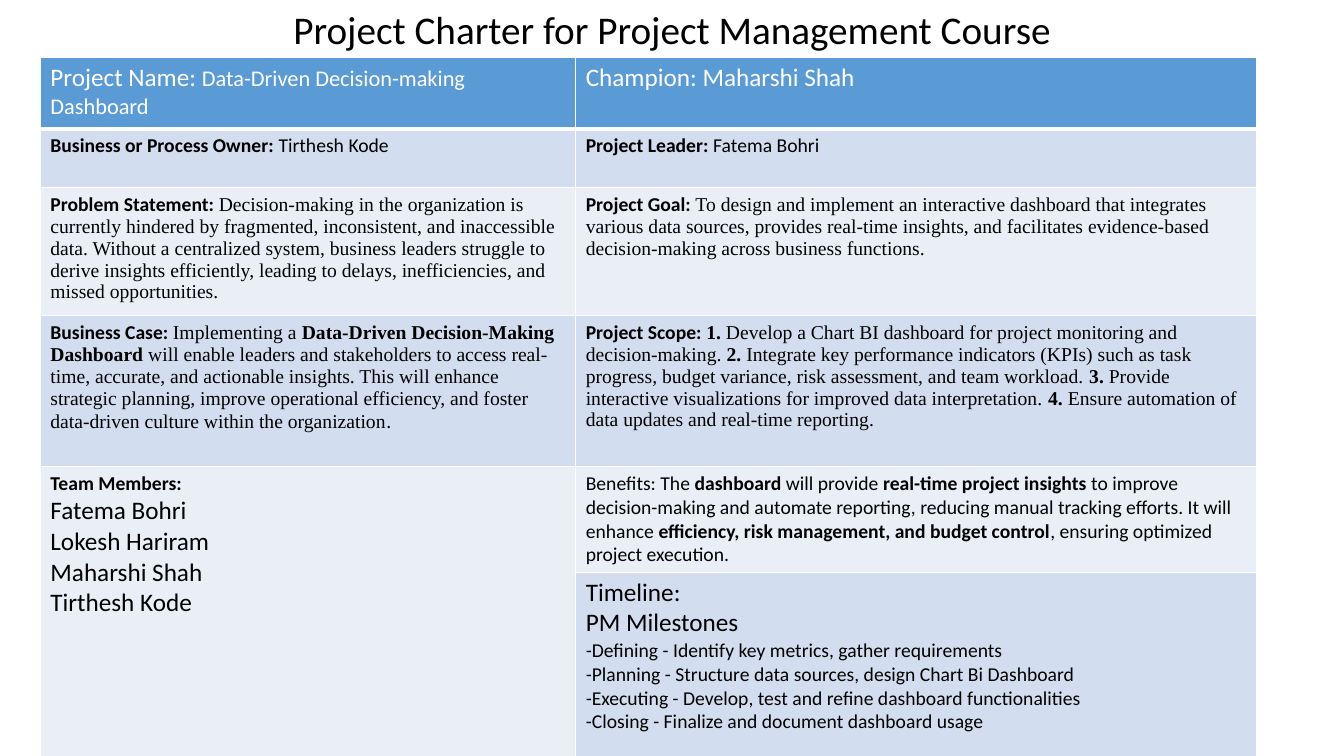
from lxml import etree
from pptx import Presentation
from pptx.dml.color import RGBColor
from pptx.enum import text as t
from pptx.oxml import ns
from pptx.util import Inches, Pt

BLACK = RGBColor(0x00, 0x00, 0x00)
WHITE = RGBColor(0xFF, 0xFF, 0xFF)
HEADER_BLUE = RGBColor(0x5B, 0x9B, 0xD5)
BAND_DARK = RGBColor(0xD2, 0xDE, 0xEF)
BAND_LIGHT = RGBColor(0xEA, 0xEF, 0xF7)

SANS = {"font": "Calibri", "size": 14, "bold": False}
LABEL = {**SANS, "bold": True}
SERIF = {**SANS, "font": "Times New Roman"}
STRONG = {**SERIF, "bold": True}
LARGE = {**SANS, "size": 18}
MEDIUM = {**SANS, "size": 16}

TITLE = "Project Charter for Project Management Course"
TEAM = ["Fatema Bohri", "Lokesh Hariram", "Maharshi Shah", "Tirthesh Kode"]
MILESTONES = [
    "-Defining - Identify key metrics, gather requirements",
    "-Planning - Structure data sources, design Chart Bi Dashboard",
    "-Executing - Develop, test and refine dashboard functionalities",
    "-Closing - Finalize and document dashboard usage",
]

CHARTER = [
    (
        [[("Project Name: ", LARGE), ("Data-Driven Decision-making Dashboard", MEDIUM)]],
        [[("Champion: Maharshi Shah", LARGE)]],
    ),
    (
        [[("Business or Process Owner: ", LABEL), ("Tirthesh Kode", SANS)]],
        [[("Project Leader: ", LABEL), ("Fatema Bohri", SANS)]],
    ),
    (
        [[
            ("Problem Statement: ", LABEL),
            ("Decision-making in the organization is currently hindered by fragmented, "
             "inconsistent, and inaccessible data. Without a centralized system, business "
             "leaders struggle to derive insights efficiently, leading to delays, "
             "inefficiencies, and missed opportunities.", SERIF),
        ]],
        [[
            ("Project Goal: ", LABEL),
            ("To design and implement an interactive dashboard that integrates various data "
             "sources, provides real-time insights, and facilitates evidence-based "
             "decision-making across business functions.", SERIF),
        ]],
    ),
    (
        [[
            ("Business Case: ", LABEL),
            ("Implementing a ", SERIF),
            ("Data-Driven Decision-Making Dashboard", STRONG),
            (" will enable leaders and stakeholders to access real-time, accurate, and "
             "actionable insights. This will enhance strategic planning, improve operational "
             "efficiency, and foster data-driven culture within the organization", SERIF),
            (".", SANS),
        ]],
        [[
            ("Project Scope: ", LABEL),
            ("1. ", STRONG),
            ("Develop a Chart BI dashboard for project monitoring and decision-making. ", SERIF),
            ("2. ", STRONG),
            ("Integrate key performance indicators (KPIs) such as task progress, budget "
             "variance, risk assessment, and team workload. ", SERIF),
            ("3.", STRONG),
            (" Provide interactive visualizations for improved data interpretation. ", SERIF),
            ("4.", STRONG),
            (" Ensure automation of data updates and real-time reporting.", SERIF),
        ]],
    ),
    (
        [[("Team Members:", LABEL)]] + [[(name, LARGE)] for name in TEAM],
        [[
            ("Benefits: The", SANS),
            (" dashboard", LABEL),
            (" will provide ", SANS),
            ("real-time project insights", LABEL),
            (" to improve decision-making and automate reporting, reducing manual tracking "
             "efforts. It will enhance ", SANS),
            ("efficiency, risk management, and budget control", LABEL),
            (", ensuring optimized project execution.", SANS),
        ]],
    ),
    (
        None,
        [[("Timeline:", LARGE)], [("PM Milestones", LARGE)]]
        + [[(step, SANS)] for step in MILESTONES],
    ),
]
FILLS = [HEADER_BLUE, BAND_DARK, BAND_LIGHT, BAND_DARK, BAND_LIGHT, BAND_DARK]
COLUMN_WIDTHS = [5.31, 6.75]
ROW_HEIGHTS = [0.71, 0.58, 1.27, 1.5, 1.04, 1.99]


def write_span(para, words, font, size, bold=False, color=BLACK):
    span = para.add_run()
    span.text = words
    span.font.name = font
    span.font.size = Pt(size)
    span.font.bold = bold
    span.font.color.rgb = color


def fill_cell(cell, paragraphs, color):
    frame = cell.text_frame
    for index, spans in enumerate(paragraphs):
        para = frame.add_paragraph() if index else frame.paragraphs[0]
        for words, style in spans:
            write_span(para, words, **style, color=color)


def set_borders(cell, bottom=1):
    properties = cell._tc.get_or_add_tcPr()
    for index, (side, points) in enumerate(zip("LRTB", (1, 1, 1, bottom))):
        line = etree.Element(ns.qn(f"a:ln{side}"), w=str(Pt(points)))
        solid = etree.SubElement(line, ns.qn("a:solidFill"))
        etree.SubElement(solid, ns.qn("a:srgbClr"), val=str(WHITE))
        properties.insert(index, line)


deck = Presentation()
deck.slide_width = Inches(13.33)
deck.slide_height = Inches(7.5)
page = deck.slides.add_slide(deck.slide_layouts[6])

table = page.shapes.add_table(
    len(CHARTER), len(COLUMN_WIDTHS), Inches(0.4), Inches(0.57),
    Inches(sum(COLUMN_WIDTHS)), Inches(sum(ROW_HEIGHTS)),
).table
for column, width in zip(table.columns, COLUMN_WIDTHS):
    column.width = Inches(width)
for row, height in zip(table.rows, ROW_HEIGHTS):
    row.height = Inches(height)
table.cell(4, 0).merge(table.cell(5, 0))

for row_index, (entries, fill) in enumerate(zip(CHARTER, FILLS)):
    is_header = row_index == 0
    for column_index, paragraphs in enumerate(entries):
        cell = table.cell(row_index, column_index)
        cell.fill.solid()
        cell.fill.fore_color.rgb = fill
        set_borders(cell, bottom=3 if is_header else 1)
        if paragraphs:
            fill_cell(cell, paragraphs, WHITE if is_header else BLACK)

box = page.shapes.add_textbox(Inches(1.33), 0, Inches(10.67), Inches(0.57))
box.text_frame.word_wrap = True
heading = box.text_frame.paragraphs[0]
heading.alignment = t.PP_ALIGN.CENTER
write_span(heading, TITLE, font="Calibri", size=28)

deck.save("out.pptx")
